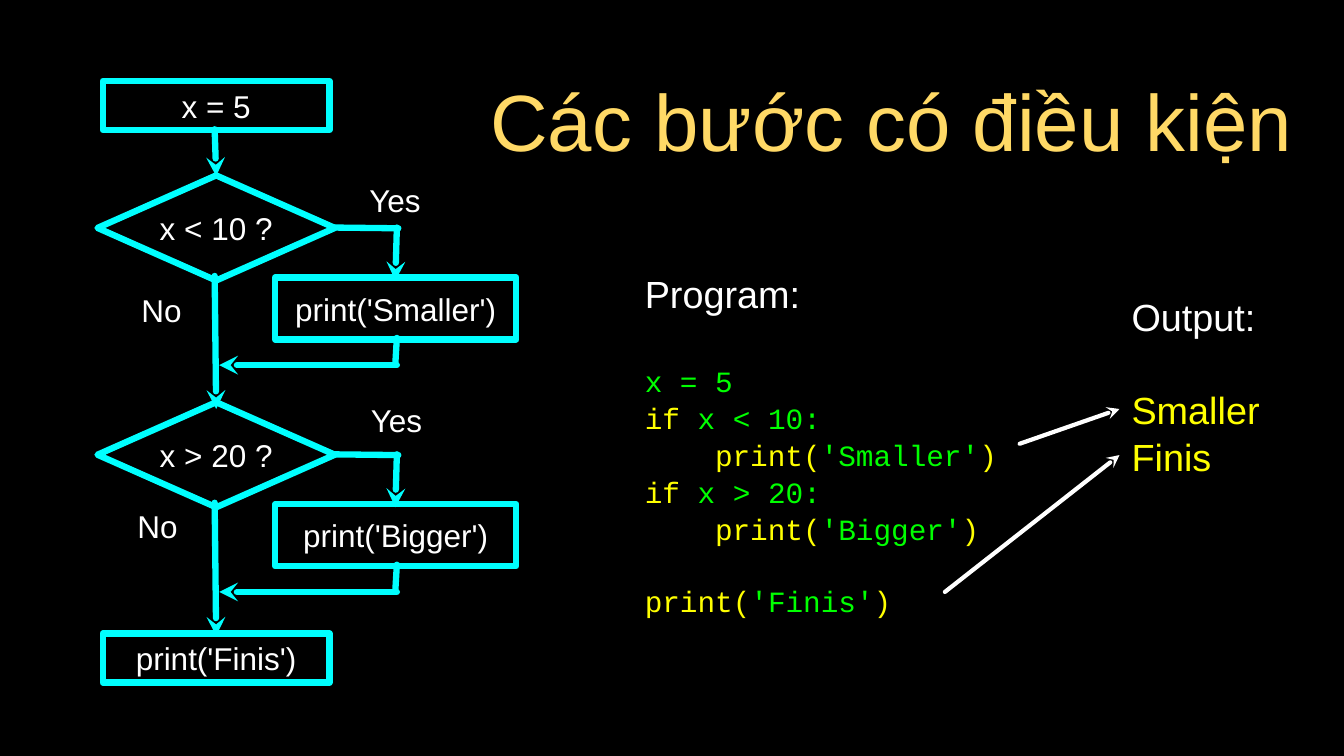
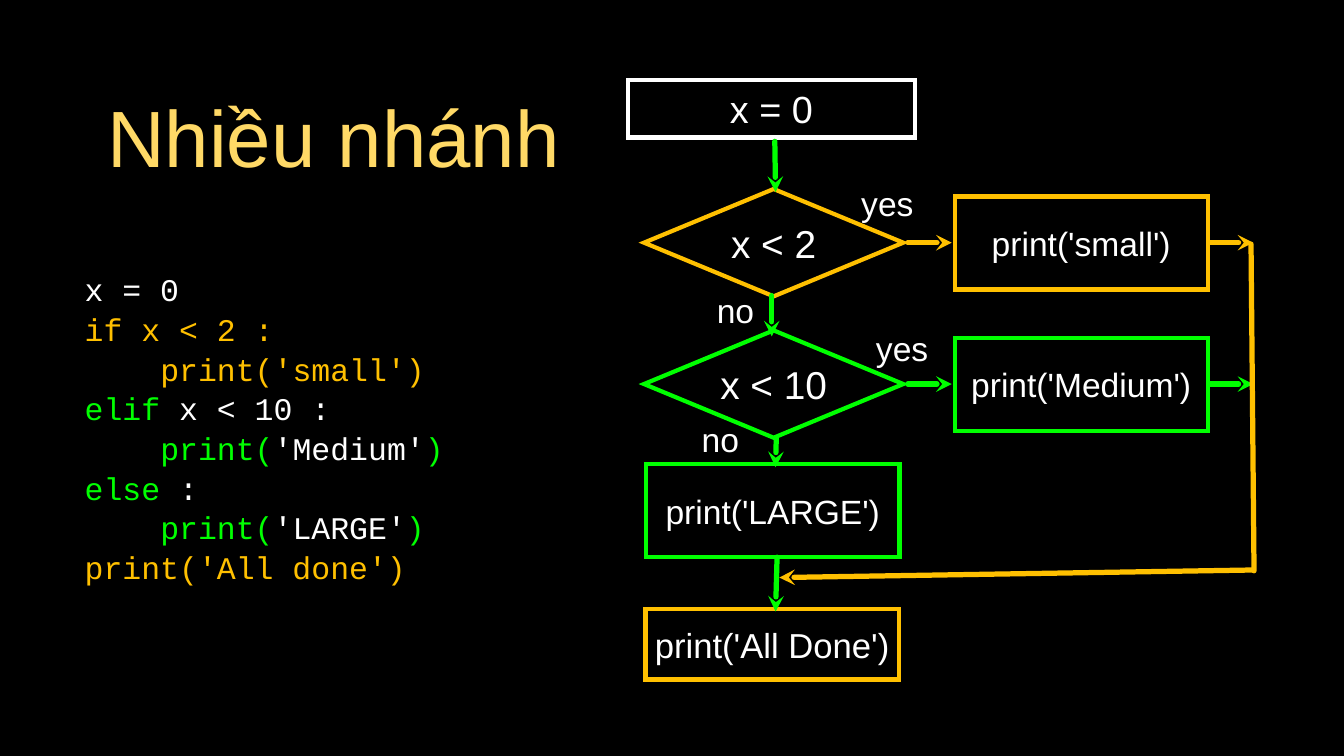
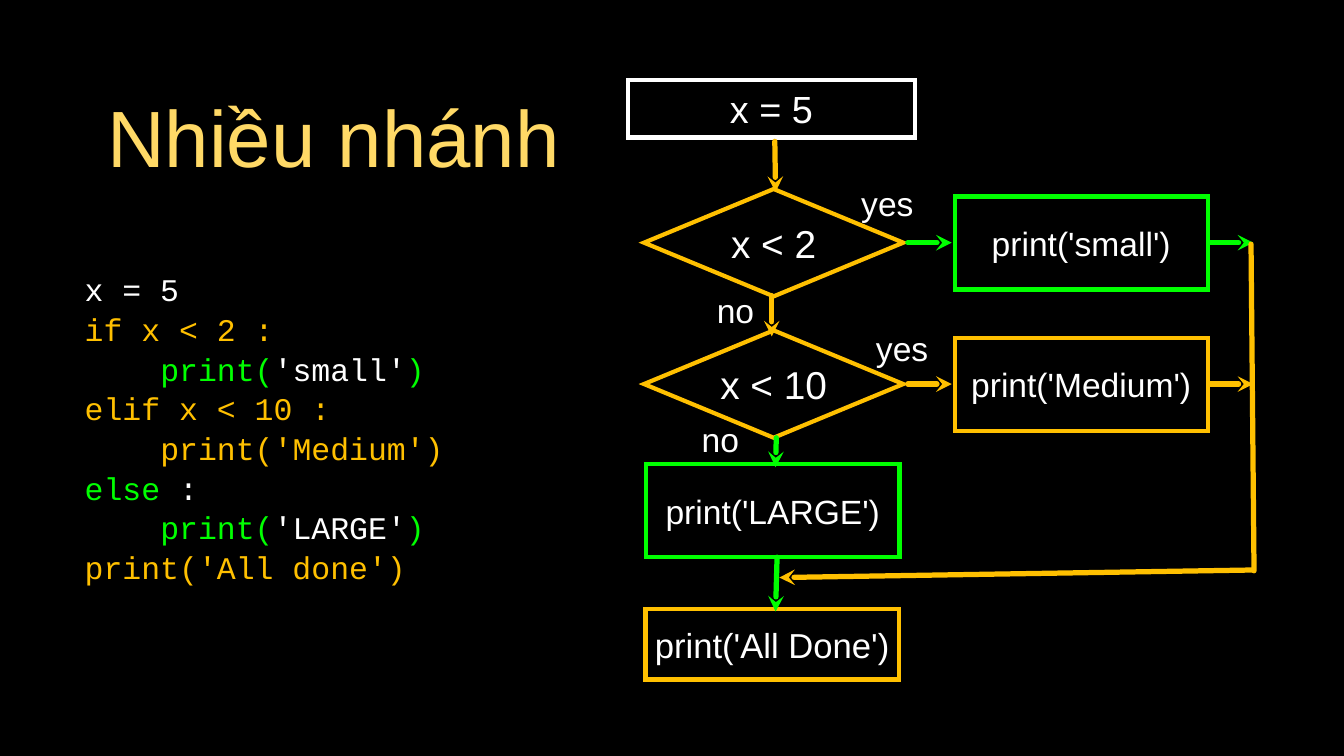
import dataclasses

import lxml.etree
import pptx
import pptx.dml.color
import pptx.enum.shapes
import pptx.enum.text
import pptx.oxml.ns
import pptx.util

Inches = pptx.util.Inches
Pt = pptx.util.Pt
SHAPE = pptx.enum.shapes.MSO_SHAPE
ALIGN = pptx.enum.text.PP_ALIGN

BLACK, WHITE, GOLD = "000000", "FFFFFF", "FFD966"
CYAN, GREEN, YELLOW, ORANGE = "00FFFF", "00FF00", "FFFF00", "FFC000"
SANS, MONO = "Arial", "Courier New"


def rgb(value):
    return pptx.dml.color.RGBColor.from_string(value)


def sub(parent, tag, **attrs):
    return lxml.etree.SubElement(parent, pptx.oxml.ns.qn(tag), attrs)


@dataclasses.dataclass
class Line:
    """One paragraph: runs are (text, colour) pairs, indent in inches, after in points."""
    runs: list
    size: float
    font: str = SANS
    align: int = ALIGN.LEFT
    indent: float = 0
    after: float = 0
    spacing: float = 1.05


class Deck:
    def __init__(self):
        self.prs = pptx.Presentation()
        self.prs.slide_width, self.prs.slide_height = Inches(17.78), Inches(10)
        fill = self.prs.slide_master.background.fill
        fill.solid()
        fill.fore_color.rgb = rgb(BLACK)
        self.s = None

    def new_slide(self, title, box):
        self.s = self.prs.slides.add_slide(self.prs.slide_layouts[6])
        self.label(title, box, 76, GOLD, inset=0.04)

    def fill_text(self, sp, lines, inset=0):
        tf = sp.text_frame
        margins = ("margin_left", "margin_top", "margin_right", "margin_bottom")
        frame = dict.fromkeys(margins, Inches(inset))
        frame.update(word_wrap=True, vertical_anchor=pptx.enum.text.MSO_ANCHOR.MIDDLE)
        for name, value in frame.items():
            setattr(tf, name, value)
        for i, line in enumerate(lines):
            p = tf.add_paragraph() if i else tf.paragraphs[0]
            layout = {"alignment": line.align, "line_spacing": line.spacing,
                      "space_after": Pt(line.after)}
            for name, value in layout.items():
                setattr(p, name, value)
            if line.indent:
                p._p.get_or_add_pPr().set("marL", str(Inches(line.indent)))
            for text, color in line.runs:
                r = p.add_run()
                r.text = text
                for name, value in {"size": Pt(line.size), "name": line.font}.items():
                    setattr(r.font, name, value)
                r.font.color.rgb = rgb(color)

    def text(self, box, lines, inset=0):
        sp = self.s.shapes.add_textbox(*map(Inches, box))
        self.fill_text(sp, lines, inset)

    def label(self, text, box, size, color=WHITE, inset=0):
        line = Line([(text, color)], size, align=ALIGN.CENTER, spacing=1.0)
        self.text(box, [line], inset)

    def stroke(self, sp, color, width):
        sp.line.color.rgb = rgb(color)
        sp.line.width = Pt(width)
        return sp.line._get_or_add_ln()

    def node(self, text, box, size, color, width, kind=SHAPE.RECTANGLE, rounded=False):
        """Outlined flowchart box or diamond with centred white text."""
        sp = self.s.shapes.add_shape(kind, *map(Inches, box))
        sp.shadow.inherit = False
        sp.fill.background()
        ln = self.stroke(sp, color, width)
        if rounded:
            sub(ln, "a:round")
        else:
            sub(ln, "a:miter", lim="800000")
        self.fill_text(sp, [Line([(text, WHITE)], size, align=ALIGN.CENTER, spacing=1.0)])

    def line(self, ends, color, width, arrow=True):
        """Straight line from (x1, y1) to (x2, y2), the arrowhead at the second point."""
        sp = self.s.shapes.add_connector(
            pptx.enum.shapes.MSO_CONNECTOR.STRAIGHT, *map(Inches, ends))
        ln = self.stroke(sp, color, width)
        ln.set("cap", "rnd")
        sub(ln, "a:round")
        if arrow:
            sub(ln, "a:tailEnd", type="stealth")
        sub(sp._element.spPr, "a:effectLst")


def call(argument, color, argument_color):
    """Runs of a print call."""
    return [("print(", color), (argument, argument_color), (")", color)]


def conditional_steps(deck):
    deck.new_slide("Các bước có điều kiện", (6.4, 0.84, 10.78, 1.49))

    deck.text((14.97, 3.9, 1.73, 2.39), [
        Line([("Output:", WHITE)], 36, after=43),
        Line([("Smaller", YELLOW)], 36),
        Line([("Finis", YELLOW)], 36)])

    code = {"size": 28, "font": MONO}
    inner = {**code, "indent": 0.93}
    deck.text((8.53, 3.14, 4.96, 5.45), [
        Line([("Program:", WHITE)], 36, after=43),
        Line([("x = 5", GREEN)], **code),
        Line([("if ", YELLOW), ("x < 10:", GREEN)], **code),
        Line(call("'Smaller'", YELLOW, GREEN), **inner),
        Line([("if ", YELLOW), ("x > 20:", GREEN)], **code),
        Line(call("'Bigger'", YELLOW, GREEN), after=33.5, **inner),
        Line(call("'Finis'", YELLOW, GREEN), **code)])
    for ends in ((13.49, 5.87, 14.81, 5.41), (12.5, 7.83, 14.81, 6.02)):
        deck.line(ends, WHITE, 4)

    look = {"size": 30, "color": CYAN, "width": 6, "rounded": True}
    deck.node("x = 5", (1.36, 1.07, 3, 0.65), **look)
    deck.line((2.84, 1.71, 2.86, 2.33), CYAN, 6)
    tests = [
        ("x < 10 ?", "print('Smaller')", (4.83, 2.31, 0.79, 0.68), (1.74, 3.71, 0.79, 0.77)),
        ("x > 20 ?", "print('Bigger')", (4.85, 5.21, 0.79, 0.68), (1.69, 6.67, 0.79, 0.58)),
    ]
    for i, (test, action, yes_box, no_box) in enumerate(tests):
        y = 2.32 + 3 * i
        deck.node(test, (1.29, y, 3.14, 1.39), kind=SHAPE.DIAMOND, **look)
        deck.line((2.84, y + 1.33, 2.86, y + 3.09), CYAN, 6)
        deck.node(action, (3.64, y + 1.35, 3.19, 0.82), **look)
        deck.line((4.42, y + 0.69, 5.27, y + 0.7), CYAN, 6, arrow=False)
        deck.line((5.25, y + 0.69, 5.23, y + 1.39), CYAN, 6)
        deck.line((5.25, y + 2.15, 5.23, y + 2.49), CYAN, 6, arrow=False)
        deck.line((5.25, y + 2.51, 2.9, y + 2.51), CYAN, 6)
        deck.label("Yes", yes_box, 30)
        deck.label("No", no_box, 30)
    deck.node("print('Finis')", (1.36, 8.38, 3, 0.65), **look)


def multi_way(deck, start, small, other, small_code, medium_code):
    """Three-way branch; small colours the first action, other the path past it."""
    deck.new_slide("Nhiều nhánh", (1.26, 0.82, 6.3, 1.96))

    code = {"size": 30, "font": MONO}
    inner = {**code, "indent": 1}
    elif_runs, medium_runs = medium_code
    deck.text((1.12, 3.21, 5.58, 4.88), [
        Line([(start, WHITE)], **code),
        Line([("if x < 2 :", ORANGE)], **code),
        Line(small_code, **inner),
        Line(elif_runs, **code),
        Line(medium_runs, **inner),
        Line([("else", GREEN), (" :", WHITE)], **code),
        Line(call("'LARGE'", GREEN, WHITE), **inner),
        Line([("print('All done')", ORANGE)], **code)])

    deck.node(start, (8.31, 1.06, 3.79, 0.76), 36, WHITE, 4)
    rows = [
        ("x < 2", "print('small')", 2.5, ORANGE, small, (11.36, 2.41, 0.76, 0.54)),
        ("x < 10", "print('Medium')", 4.37, other, other, (11.51, 4.34, 0.85, 0.54)),
    ]
    for test, action, y, test_color, color, yes_box in rows:
        deck.node(test, (8.52, y, 3.43, 1.42), 37, test_color, 4, SHAPE.DIAMOND)
        deck.node(action, (12.63, y + 0.1, 3.35, 1.23), 32, color, 4)
        deck.line((12.01, y + 0.71, 12.59, y + 0.71), color, 5)
        deck.line((16.01, y + 0.71, 16.58, y + 0.71), color, 5)
        deck.label("yes", yes_box, 32)
    for x, y in ((9.47, 3.83), (9.27, 5.54)):
        deck.label("no", (x, y, 0.52, 0.54), 32)
    deck.node("print('LARGE')", (8.55, 6.14, 3.35, 1.23), 32, GREEN, 4)
    deck.node("print('All Done')", (8.54, 8.06, 3.35, 0.93), 33, ORANGE, 4)

    deck.line((10.25, 1.87, 10.26, 2.54), other, 5)
    deck.line((10.21, 3.91, 10.21, 4.45), other, 5)
    deck.line((10.27, 5.79, 10.26, 6.18), GREEN, 5)
    deck.line((10.28, 7.37, 10.26, 8.09), GREEN, 5)
    deck.line((16.55, 3.23, 16.59, 7.55), ORANGE, 5, arrow=False)
    deck.line((16.57, 7.54, 10.31, 7.64), ORANGE, 5)


def main():
    deck = Deck()
    conditional_steps(deck)
    multi_way(deck, "x = 0", ORANGE, GREEN,
              [("print('small')", ORANGE)],
              ([("elif", GREEN), (" x < 10 :", WHITE)], call("'Medium'", GREEN, WHITE)))
    multi_way(deck, "x = 5", GREEN, ORANGE,
              call("'small'", GREEN, WHITE),
              ([("elif x < 10 :", ORANGE)], [("print('Medium')", ORANGE)]))
    deck.prs.save("out.pptx")


if __name__ == "__main__":
    main()
